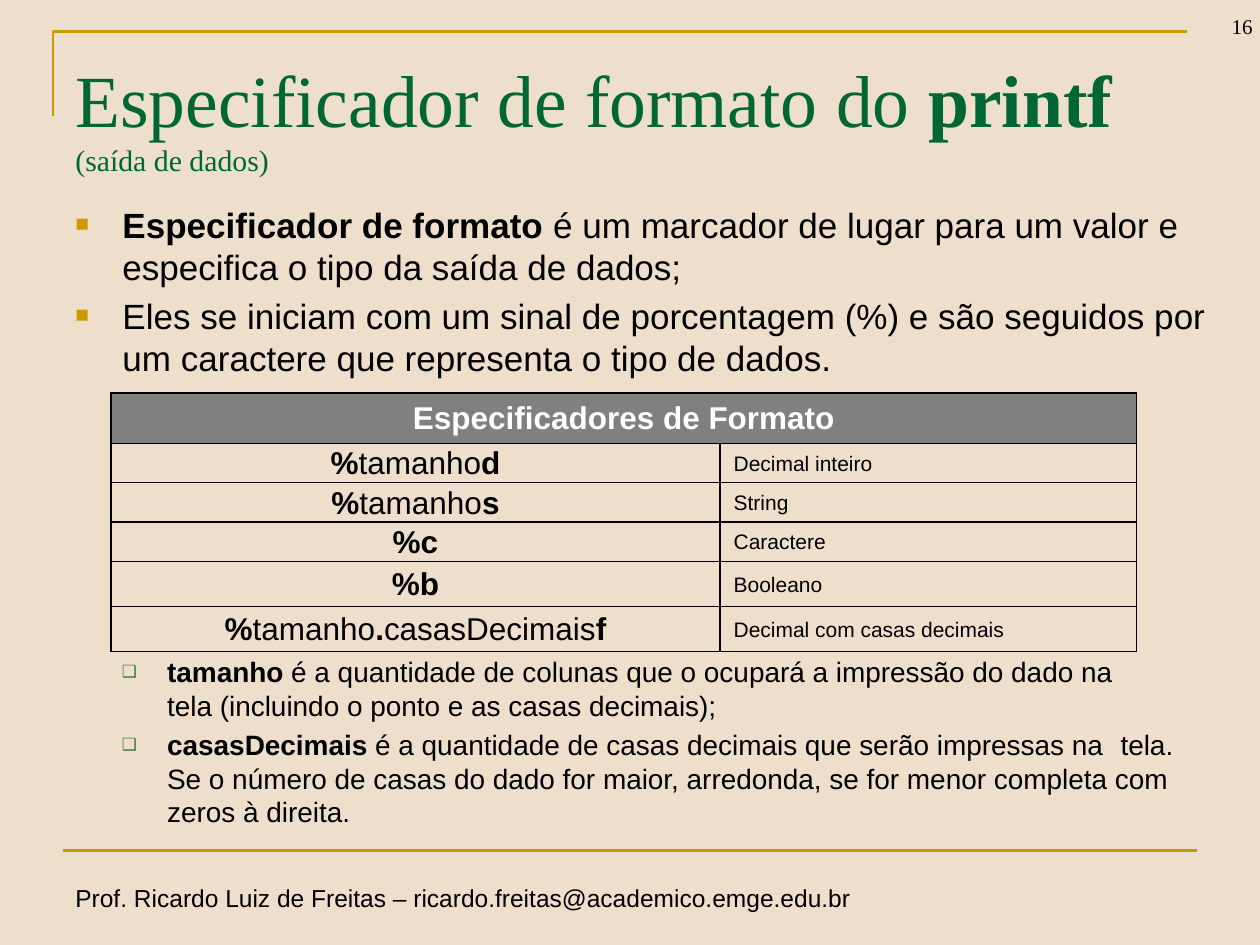
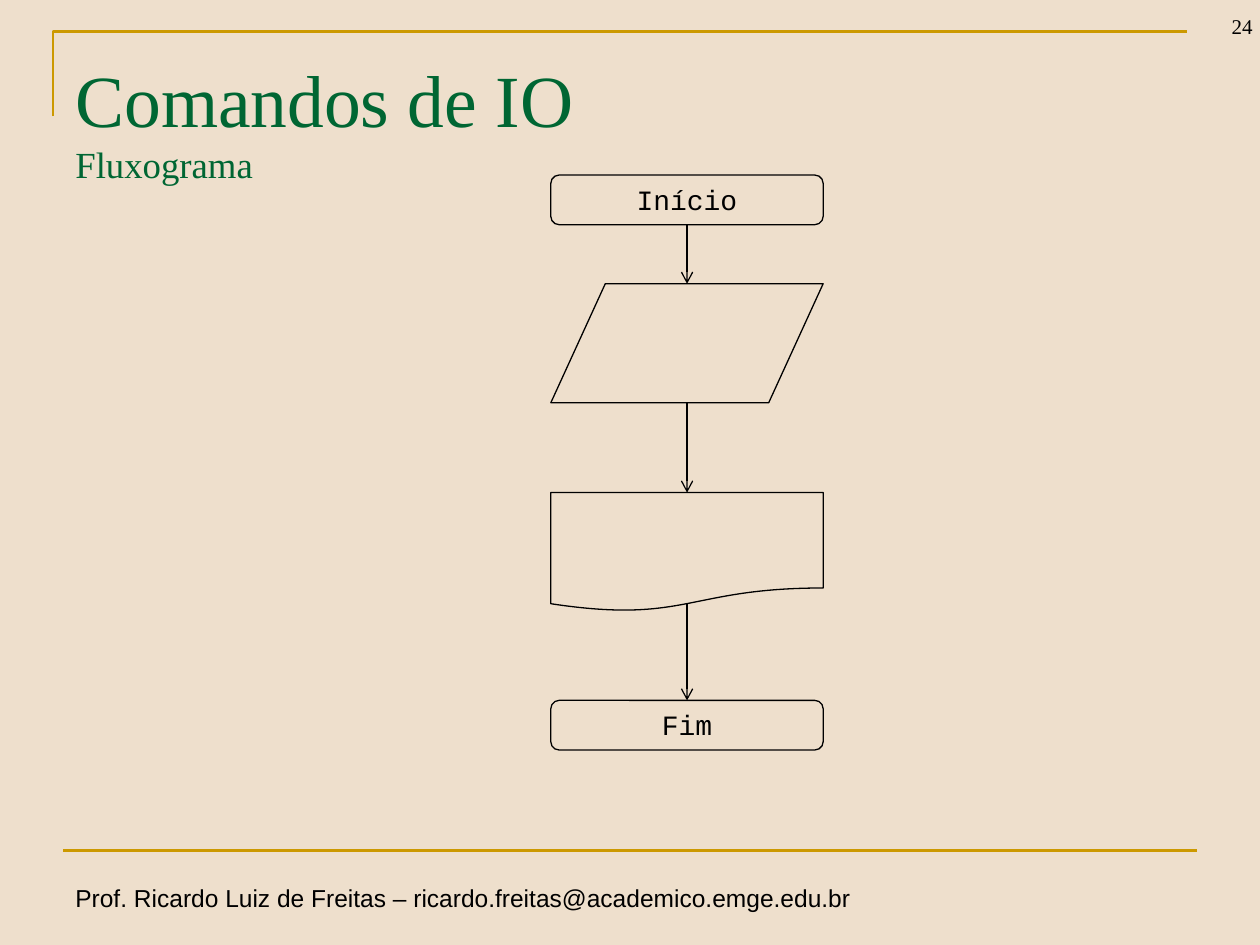
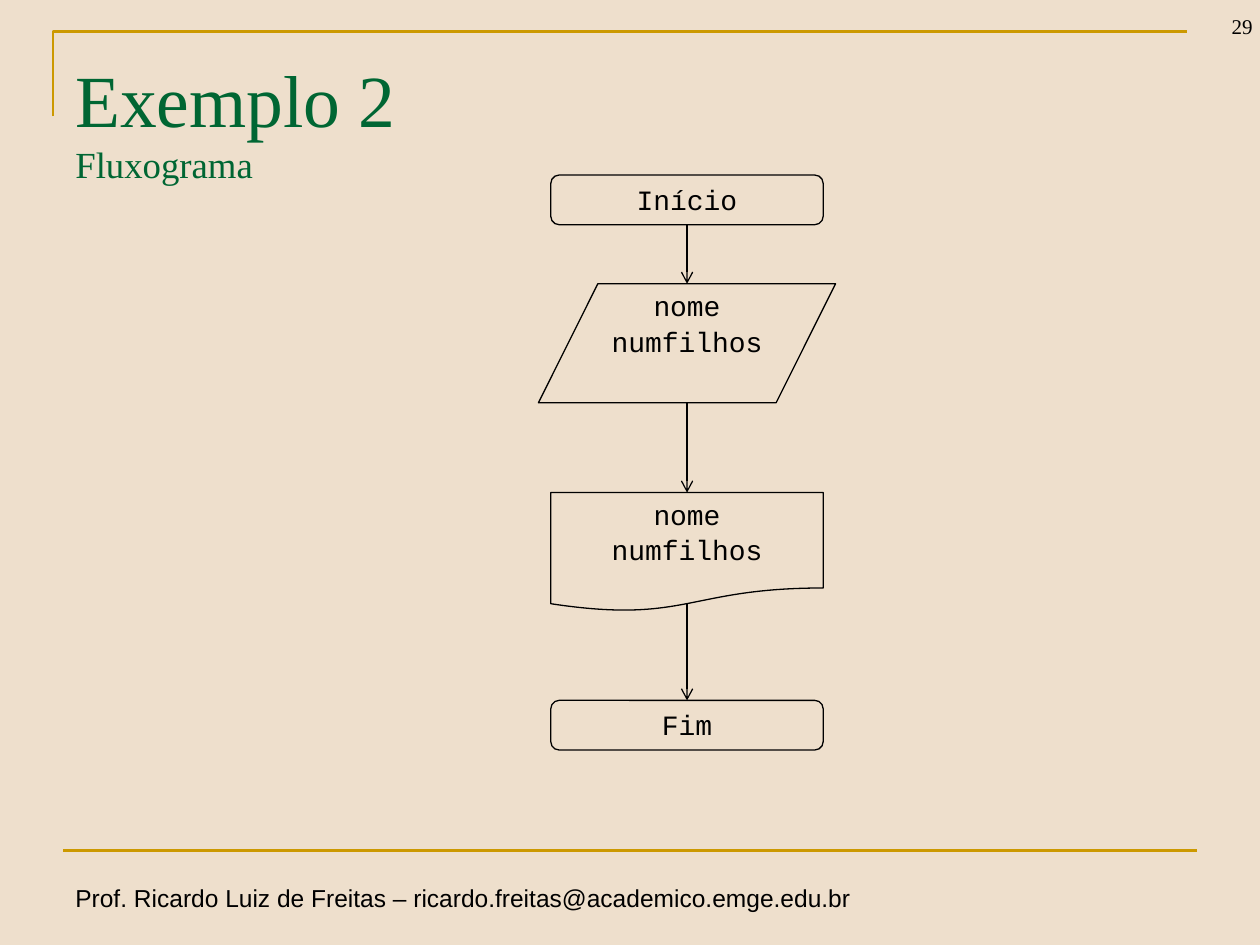
import pptx
import pptx.util
import pptx.dml.color
import pptx.enum.shapes
import pptx.enum.text
import pptx.oxml.ns
from lxml import etree

Cm = pptx.util.Cm
Pt = pptx.util.Pt
RGB = pptx.dml.color.RGBColor
KIND = pptx.enum.shapes.MSO_SHAPE
ALIGN = pptx.enum.text.PP_ALIGN
ANCHOR = pptx.enum.text.MSO_ANCHOR
qn = pptx.oxml.ns.qn

# Shared colours and fonts
SAND = RGB(0xEE, 0xDF, 0xCC)
GOLD = RGB(0xCC, 0x99, 0x00)
GREEN = RGB(0x00, 0x66, 0x33)
LEAF = RGB(0x3B, 0x81, 0x2F)
GRAY = RGB(0x80, 0x80, 0x80)
WHITE = RGB(0xFF, 0xFF, 0xFF)
BLACK = RGB(0, 0, 0)
SANS, SERIF, MONO = "Arial", "Times New Roman", "Courier New"


def write(frame, paras, name=SANS, color=BLACK, bullet=None, **form):
    """Fill a frame with (text, size) pairs; asterisks switch bold."""
    gap = form.pop("space_before", None)
    for num, (text, size) in enumerate(paras):
        para = frame.paragraphs[0] if num == 0 else frame.add_paragraph()
        for key, val in form.items():
            setattr(para, key, val)
        if num and gap:
            para.space_before = gap
        if bullet:
            mark, tint, scale, left, hang, stop = bullet
            props = para._p.get_or_add_pPr()
            props.set("marL", str(Cm(left)))
            props.set("indent", str(-Cm(hang)))
            hue = etree.SubElement(props, qn("a:buClr"))
            etree.SubElement(hue, qn("a:srgbClr"), val=str(tint))
            etree.SubElement(props, qn("a:buSzPct"), val=str(scale * 1000))
            etree.SubElement(props, qn("a:buFont"), typeface=SANS)
            etree.SubElement(props, qn("a:buChar"), char=mark)
            if stop:
                tabs = etree.SubElement(props, qn("a:tabLst"))
                etree.SubElement(tabs, qn("a:tab"), pos=str(Cm(stop)), algn="l")
        for turn, part in enumerate(text.split("*")):
            for row, bit in enumerate(part.split("\n")):
                if row:
                    para.add_line_break()
                    etree.SubElement(para._p[-1], qn("a:rPr"), sz=str(size * 100))
                if bit:
                    run = para.add_run()
                    run.text = bit
                    look = {"name": name, "size": Pt(size), "bold": turn % 2 == 1}
                    for key, val in look.items():
                        setattr(run.font, key, val)
                    run.font.color.rgb = color


def link(slide, start, end, color, width, arrow=False):
    """Draw a straight line without shadow between two points in cm."""
    line = slide.shapes.add_connector(
        pptx.enum.shapes.MSO_CONNECTOR.STRAIGHT, *map(Cm, start + end))
    line.line.color.rgb = color
    line.line.width = Pt(width)
    if arrow:
        etree.SubElement(line.line._get_or_add_ln(), qn("a:tailEnd"), type="arrow")
    etree.SubElement(line._element.spPr, qn("a:effectLst"))
    return line


deck = pptx.Presentation()
deck.slide_width, deck.slide_height = Cm(25.4), Cm(19.05)

# Frame, title, number and footer of every slide
HEADS = [
    ("16", "Especificador de formato do *printf*", "(saída de dados)", 17),
    ("24", "Comandos de IO", "Fluxograma", 21),
    ("29", "Exemplo 2", "Fluxograma", 21),
]
FOOT = "Prof. Ricardo Luiz de Freitas – ricardo.freitas@academico.emge.edu.br"
pages = []
for count, head, sub, size in HEADS:
    page = deck.slides.add_slide(deck.slide_layouts[6])
    pages.append(page)
    page.background.fill.solid()
    page.background.fill.fore_color.rgb = SAND

    pen = page.shapes.build_freeform(Cm(1.07), Cm(2.34))
    pen.add_line_segments(
        [(Cm(1.07), Cm(0.64)), (Cm(23.93), Cm(0.64))], close=False)
    edge = pen.convert_to_shape()
    edge.shadow.inherit = False
    edge.fill.background()
    edge.line.color.rgb = GOLD
    edge.line.width = Pt(1.5)
    link(page, (1.27, 17.15), (24.13, 17.15), GOLD, 1.5)

    foot = page.shapes.add_textbox(Cm(1.27), Cm(17.68), Cm(16.2), Cm(0.86))
    foot.text_frame.word_wrap = False
    write(foot.text_frame, [(FOOT, 14)])

    tag = page.shapes.add_textbox(Cm(23.6), Cm(-0.36), Cm(1.9), Cm(1.27))
    tag.text_frame.word_wrap = True
    tag.text_frame.vertical_anchor = ANCHOR.BOTTOM
    write(tag.text_frame, [(count, 12)], SERIF, alignment=ALIGN.RIGHT)

    title = page.shapes.add_textbox(Cm(1.27), Cm(0.76), Cm(22.86), Cm(3.18))
    title.text_frame.word_wrap = True
    title.text_frame.margin_top = Cm(0.33)
    write(title.text_frame, [(head, 42), (sub, size)], SERIF, GREEN)

# Format specifiers: points above and below the table
POINTS = [
    ("*Especificador de formato *é um marcador de lugar para um valor e "
     "especifica o tipo da saída de dados;", 20),
    ("Eles se iniciam com um sinal de porcentagem (%) e são seguidos por "
     "um caractere que representa o tipo de dados.", 20),
]
NOTES = [
    ("*tamanho* é a quantidade de colunas que o ocupará a impressão do dado na\n"
     "tela (incluindo o ponto e as casas decimais);", 16),
    ("*casasDecimais* é a quantidade de casas decimais que serão impressas na\t"
     "tela. Se o número de casas do dado for maior, arredonda, se for menor "
     "completa com zeros à direita.", 16),
]
for top, high, paras, bullet, gap in [
    (3.97, 3.8, POINTS, ("■", GOLD, 65, 0.95, 0.95, None), 4),
    (13.08, 3.66, NOTES, ("❑", LEAF, 60, 1.85, 0.91, 21.79), 3.2),
]:
    box = page = pages[0].shapes.add_textbox(Cm(1.27), Cm(top), Cm(23.42), Cm(high))
    box.text_frame.word_wrap = True
    write(box.text_frame, paras, bullet=bullet, space_before=Pt(gap))

# Format specifiers: table
ROWS = [
    ("*Especificadores de Formato*", "", 0.91),
    ("*%*tamanho*d*", "Decimal inteiro", 0.79),
    ("*%*tamanho*s*", "String", 0.74),
    ("*%c*", "Caractere", 0.74),
    ("*%b*", "Booleano", 0.91),
    ("*%*tamanho*.*casasDecimais*f*", "Decimal com casas decimais", 0.91),
]
grid = pages[0].shapes.add_table(
    len(ROWS), 2, Cm(2.24), Cm(7.92), Cm(20.67), Cm(5)).table
grid.first_row = grid.horz_banding = False
grid.columns[0].width, grid.columns[1].width = Cm(12.27), Cm(8.4)
for row, (code, name, high) in enumerate(ROWS):
    grid.rows[row].height = Cm(high)
    for col, text in enumerate((code, name)):
        cell = grid.cell(row, col)
        for side in ("a:lnL", "a:lnR", "a:lnT", "a:lnB"):
            rule = etree.SubElement(
                cell._tc.get_or_add_tcPr(), qn(side), w=str(Pt(1)))
            fill = etree.SubElement(rule, qn("a:solidFill"))
            etree.SubElement(fill, qn("a:srgbClr"), val=str(BLACK))
        cell.vertical_anchor = ANCHOR.MIDDLE
        if row == 0:
            cell.fill.solid()
            cell.fill.fore_color.rgb = GRAY
        else:
            cell.fill.background()
            cell.margin_left = Cm(0.28 if col else 0.03)
            cell.margin_right = cell.margin_top = Cm(0.03)
            cell.margin_bottom = 0
        if text:
            write(cell.text_frame, [(text, 12 if col else 18)],
                  color=BLACK if row else WHITE,
                  alignment=ALIGN.LEFT if col else ALIGN.CENTER)
grid.cell(0, 0).merge(grid.cell(0, 1))

# Flowcharts: same steps, with or without variables
MID = 13.85
for page, names, wide in [
    (pages[1], [], 5.49),
    (pages[2], ["nome", "numfilhos"], 5.99),
]:
    steps = []
    for kind, top, width, high, words in [
        (KIND.FLOWCHART_ALTERNATE_PROCESS, 3.53, 5.49, 1, ["Início"]),
        (KIND.FLOWCHART_DATA, 5.72, wide, 2.4, names),
        (KIND.FLOWCHART_DOCUMENT, 9.93, 5.49, 2.4, names),
        (KIND.FLOWCHART_ALTERNATE_PROCESS, 14.12, 5.49, 1, ["Fim"]),
    ]:
        step = page.shapes.add_shape(
            kind, Cm(MID - width / 2), Cm(top), Cm(width), Cm(high))
        step.shadow.inherit = False
        step.fill.background()
        step.line.color.rgb = BLACK
        step.line.width = Pt(0.75)
        step.text_frame.word_wrap = True
        step.text_frame.vertical_anchor = ANCHOR.TOP
        step.text_frame.margin_top = Cm(0.17)
        write(step.text_frame, [(word, 16) for word in words], MONO,
              alignment=ALIGN.CENTER, line_spacing=0.9, space_before=Pt(3.2))
        steps.append(step)

    first = link(page, (MID, 4.53), (MID, 5.72), BLACK, 0.75, True)
    first.begin_connect(steps[0], 2)
    second = link(page, (MID, 8.12), (MID, 9.93), BLACK, 0.75, True)
    second.end_connect(steps[2], 0)
    third = link(page, (MID, 12.17), (MID, 14.12), BLACK, 0.75, True)
    third.end_connect(steps[3], 0)

deck.save("out.pptx")
